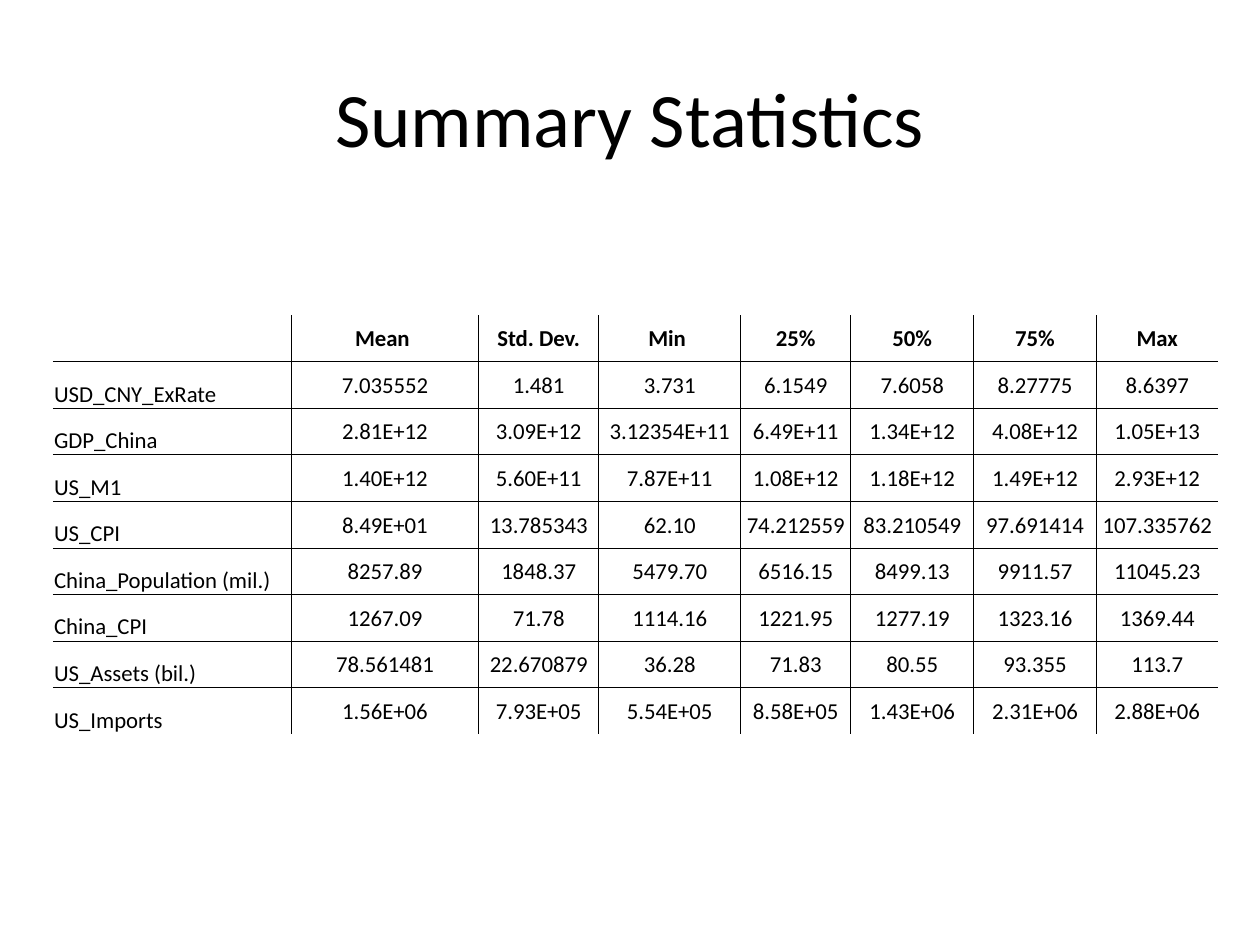
from dataclasses import dataclass

from lxml.etree import SubElement
from pptx import Presentation
from pptx.dml.color import RGBColor
from pptx.enum.text import MSO_ANCHOR as Anchor, PP_ALIGN as Align
from pptx.oxml.ns import qn
from pptx.util import Inches, Pt


@dataclass(frozen=True)
class Theme:
    font: str = "Calibri"
    ink: RGBColor = RGBColor(0, 0, 0)
    title_size: Pt = Pt(44)
    table_size: Pt = Pt(13)
    rule_width: Pt = Pt(0.5)


@dataclass(frozen=True)
class Column:
    heading: str
    width: float


@dataclass(frozen=True)
class Variable:
    label: str
    values: tuple[str, ...]


THEME = Theme()
ROW_HEIGHT = 0.37

COLUMNS = [
    Column("", 1.89), Column("Mean ", 1.49), Column("Std. Dev.", 0.95),
    Column("Min ", 1.13), Column("25%", 0.87), Column("50%", 0.98),
    Column("75%", 0.97), Column("Max", 0.97),
]

VARIABLES = [
    Variable("USD_CNY_ExRate", ("7.035552", "1.481", "3.731", "6.1549", "7.6058", "8.27775", "8.6397")),
    Variable("GDP_China", ("2.81E+12", "3.09E+12", "3.12354E+11", "6.49E+11", "1.34E+12", "4.08E+12", "1.05E+13")),
    Variable("US_M1", ("1.40E+12", "5.60E+11", "7.87E+11", "1.08E+12", "1.18E+12", "1.49E+12", "2.93E+12")),
    Variable("US_CPI", ("8.49E+01", "13.785343", "62.10", "74.212559", "83.210549", "97.691414", "107.335762")),
    Variable("China_Population (mil.)", ("8257.89", "1848.37", "5479.70", "6516.15", "8499.13", "9911.57", "11045.23")),
    Variable("China_CPI", ("1267.09", "71.78", "1114.16", "1221.95", "1277.19", "1323.16", "1369.44")),
    Variable("US_Assets (bil.)", ("78.561481", "22.670879", "36.28", "71.83", "80.55", "93.355", "113.7")),
    Variable("US_Imports", ("1.56E+06", "7.93E+05", "5.54E+05", "8.58E+05", "1.43E+06", "2.31E+06", "2.88E+06")),
]


def add_span(para, text: str, size: Pt, bold: bool = False) -> None:
    span = para.add_run()
    span.text = text
    span.font.name = THEME.font
    span.font.size = size
    span.font.bold = bold
    span.font.color.rgb = THEME.ink


def add_title(page, text: str) -> None:
    box = page.shapes.add_textbox(Inches(0.5), Inches(0.3), Inches(9), Inches(1.25))
    frame = box.text_frame
    frame.word_wrap = True
    frame.vertical_anchor = Anchor.MIDDLE
    para = frame.paragraphs[0]
    para.alignment = Align.CENTER
    add_span(para, text, THEME.title_size)


def set_borders(cell, sides: dict[str, bool]) -> None:
    """Rule the sides marked True and clear the others."""
    properties = cell._tc.get_or_add_tcPr()
    for position, (side, ruled) in enumerate(sides.items()):
        line = SubElement(properties, qn(f"a:ln{side}"), w=str(THEME.rule_width))
        properties.insert(position, line)  # borders come before the fill
        if ruled:
            fill = SubElement(line, qn("a:solidFill"))
            SubElement(fill, qn("a:srgbClr"), val=str(THEME.ink))
        else:
            SubElement(line, qn("a:noFill"))


def fill_cell(cell, text: str, is_heading: bool, is_label: bool) -> None:
    cell.fill.background()
    cell.margin_left = cell.margin_right = cell.margin_top = Inches(0.01)
    cell.margin_bottom = 0
    cell.vertical_anchor = Anchor.BOTTOM if is_label else Anchor.MIDDLE
    para = cell.text_frame.paragraphs[0]
    para.alignment = Align.LEFT if is_label else Align.CENTER
    if text:
        add_span(para, text, THEME.table_size, bold=is_heading)


def add_statistics(page, columns: list[Column], variables: list[Variable]) -> None:
    rows = [[column.heading for column in columns]]
    rows += [[variable.label, *variable.values] for variable in variables]
    last_row, last_column = len(rows) - 1, len(columns) - 1

    table = page.shapes.add_table(
        len(rows), len(columns), Inches(0.42), Inches(2.5),
        Inches(sum(column.width for column in columns)),
        Inches(ROW_HEIGHT * len(rows)),
    ).table
    table.first_row = table.horz_banding = False
    for column, grid_column in zip(columns, table.columns):
        grid_column.width = Inches(column.width)

    # Only the inner grid is ruled; the outer edges stay open
    for i, row in enumerate(rows):
        table.rows[i].height = Inches(ROW_HEIGHT)
        for j, text in enumerate(row):
            cell = table.cell(i, j)
            fill_cell(cell, text, is_heading=i == 0, is_label=j == 0)
            set_borders(cell, {"L": j > 0, "R": j < last_column,
                               "T": i > 0, "B": i < last_row})


def main() -> None:
    deck = Presentation()
    deck.slide_width, deck.slide_height = Inches(10), Inches(7.5)
    page = deck.slides.add_slide(deck.slide_layouts[6])
    add_title(page, "Summary Statistics")
    add_statistics(page, COLUMNS, VARIABLES)
    deck.save("out.pptx")


if __name__ == "__main__":
    main()
